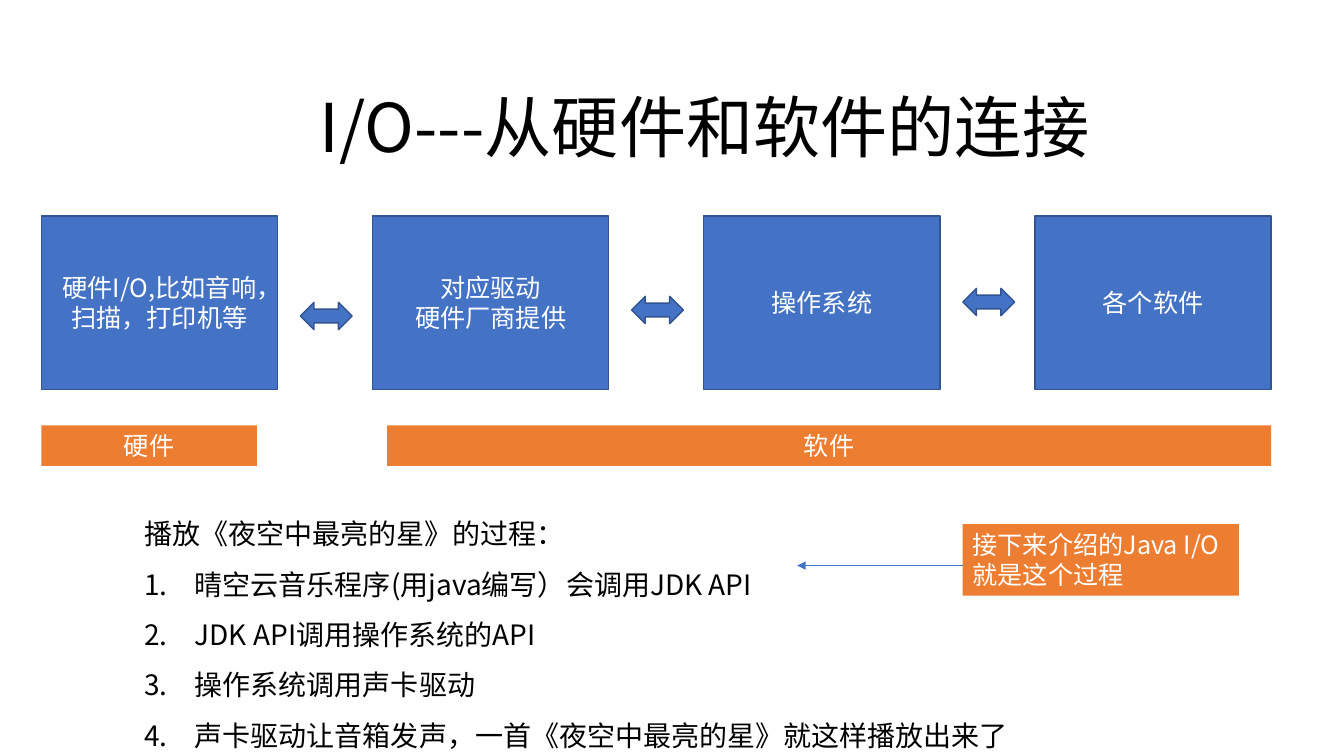
from dataclasses import dataclass

from lxml.etree import SubElement
from pptx import Presentation
from pptx.dml.color import RGBColor
from pptx.enum.shapes import MSO_CONNECTOR, MSO_SHAPE
from pptx.enum.text import MSO_ANCHOR, MSO_AUTO_SIZE, PP_ALIGN
from pptx.oxml.ns import qn
from pptx.util import Pt


@dataclass(frozen=True)
class Theme:
    font: str = "Noto Sans CJK SC"
    blue: RGBColor = RGBColor(0x44, 0x72, 0xC4)
    outline: RGBColor = RGBColor(0x32, 0x54, 0x91)
    orange: RGBColor = RGBColor(0xED, 0x7D, 0x31)
    black: RGBColor = RGBColor(0, 0, 0)
    white: RGBColor = RGBColor(0xFF, 0xFF, 0xFF)
    title_size: int = 48
    list_size: int = 20
    label_size: int = 18


theme = Theme()


def write_text(shape, text, size=theme.label_size, color=theme.white,
               align=PP_ALIGN.CENTER, anchor=MSO_ANCHOR.TOP,
               auto_size=MSO_AUTO_SIZE.SHAPE_TO_FIT_TEXT, line_spacing=None):
    """Fill a shape with text, one paragraph per line."""
    frame = shape.text_frame
    frame.text = text
    frame.word_wrap = True
    frame.auto_size = auto_size
    frame.vertical_anchor = anchor
    for para in frame.paragraphs:
        para.alignment = align
        para.line_spacing = line_spacing
        for span in para.runs:
            span.font.size = Pt(size)
            span.font.name = theme.font
            span.font.color.rgb = color
            SubElement(span.font._element, qn("a:ea"), typeface=theme.font)


def add_block(kind, left, top, width, height, fill, outline=None):
    block = slide.shapes.add_shape(kind, Pt(left), Pt(top), Pt(width), Pt(height))
    block.shadow.inherit = False
    block.fill.solid()
    block.fill.fore_color.rgb = fill
    if outline is None:
        block.line.fill.background()
    else:
        block.line.color.rgb = outline
        block.line.width = Pt(1)
    return block


deck = Presentation()
deck.slide_width, deck.slide_height = Pt(960), Pt(540)
slide = deck.slides.add_slide(deck.slide_layouts[5])

# Title
title = slide.shapes.title
title.left, title.top, title.width, title.height = Pt(198.7), Pt(57), Pt(609), Pt(65.5)
write_text(title, "I/O---从硬件和软件的连接", size=theme.title_size, color=theme.black)

# Four layers, with a two-way arrow in each gap
layers = ["硬件I/O,比如音响，扫描，打印机等", "对应驱动\n硬件厂商提供", "操作系统", "各个软件"]
layer_left, layer_pitch = 29.5, 236.6
for index, label in enumerate(layers):
    box = add_block(MSO_SHAPE.RECTANGLE, layer_left + index * layer_pitch, 154.3,
                    168.7, 124, theme.blue, theme.outline)
    write_text(box, label, anchor=MSO_ANCHOR.MIDDLE, auto_size=MSO_AUTO_SIZE.NONE)

for index, arrow_top in enumerate([216, 211.7, 206]):
    add_block(MSO_SHAPE.LEFT_RIGHT_ARROW, layer_left + 185 + index * layer_pitch,
              arrow_top, 37, 19.5, theme.blue, theme.outline)

# Hardware and software bands
for label, left, width in [("硬件", 29.5, 154), ("软件", 276.5, 631.5)]:
    band = add_block(MSO_SHAPE.RECTANGLE, left, 303.8, width, 29, theme.orange)
    write_text(band, label)

# Playback steps: a heading and a numbered list
steps = [
    "播放《夜空中最亮的星》的过程：",
    "晴空云音乐程序(用java编写）会调用JDK API",
    "JDK API调用操作系统的API",
    "操作系统调用声卡驱动",
    "声卡驱动让音箱发声，一首《夜空中最亮的星》就这样播放出来了",
]
steps_box = slide.shapes.add_textbox(Pt(96), Pt(353.5), Pt(678), Pt(185))
write_text(steps_box, "\n".join(steps), size=theme.list_size, color=theme.black,
           align=PP_ALIGN.LEFT, line_spacing=1.5)
for para in steps_box.text_frame.paragraphs[1:]:
    properties = para._p.get_or_add_pPr()
    properties.set("marL", str(Pt(36)))
    properties.set("indent", str(-Pt(36)))
    SubElement(properties, qn("a:buAutoNum"), type="arabicPeriod")

# Note pointing at the first step
note = add_block(MSO_SHAPE.RECTANGLE, 687.6, 374.4, 197.3, 51, theme.orange)
write_text(note, "接下来介绍的Java I/O就是这个过程", align=PP_ALIGN.LEFT)

pointer = slide.shapes.add_connector(MSO_CONNECTOR.STRAIGHT,
                                     Pt(687.6), Pt(404), Pt(569.5), Pt(404))
pointer.line.color.rgb = theme.blue
pointer.line.width = Pt(0.5)
SubElement(pointer.line._get_or_add_ln(), qn("a:tailEnd"), type="triangle")
SubElement(pointer._element.spPr, qn("a:effectLst"))

deck.save("out.pptx")
